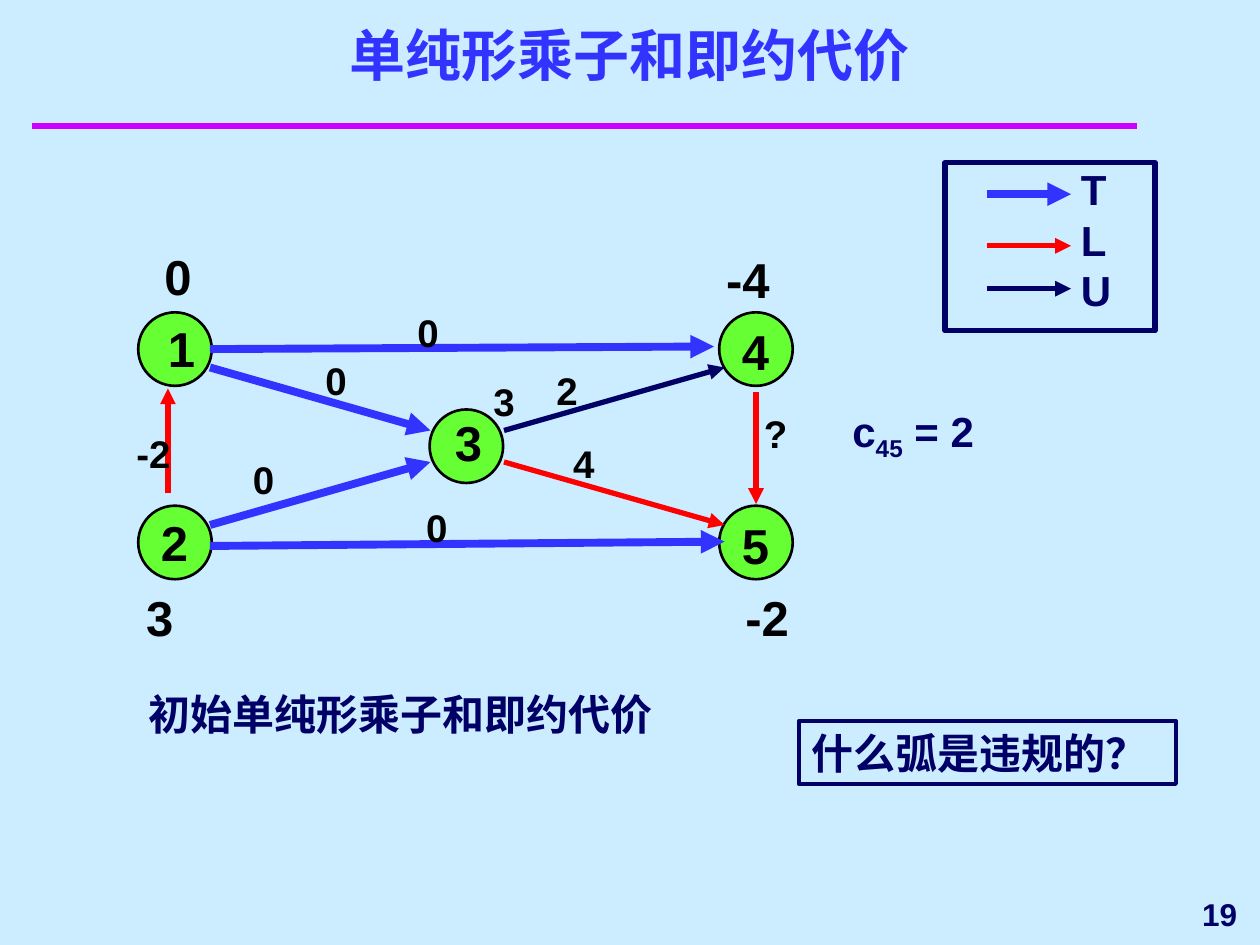
from lxml.etree import SubElement
from pptx import Presentation
from pptx.dml.color import RGBColor
from pptx.enum.shapes import MSO_CONNECTOR, MSO_SHAPE
from pptx.enum.text import MSO_ANCHOR, MSO_AUTO_SIZE, PP_ALIGN
from pptx.oxml.ns import qn
from pptx.util import Pt

SKY = RGBColor(0xCC, 0xEC, 0xFF)
MAGENTA = RGBColor(0xCC, 0x00, 0xFF)
BLUE = RGBColor(0x33, 0x33, 0xFF)
NAVY = RGBColor(0x00, 0x00, 0x66)
RED = RGBColor(0xFF, 0x00, 0x00)
GREEN = RGBColor(0x66, 0xFF, 0x33)
BLACK = RGBColor(0x00, 0x00, 0x00)

TREE = (BLUE, 4.5)
LOWER = (RED, 3)
UPPER = (NAVY, 3)

NODE_SIZE = 42
NODE_POSITIONS = [(79, 178.5), (79, 289), (411, 289), (245.5, 234), (411, 178.5)]
NODE_LABELS = [("1", 96, 182), ("2", 92, 293), ("4", 424, 183.5),
               ("5", 424, 294.5), ("3", 260, 236)]
MULTIPLIERS = [("0", 94, 141), ("-4", 415, 142.5), ("3", 83.5, 335.5), ("-2", 426, 336)]
REDUCED_COSTS = [("0", 238.5, 176.5), ("?", 436.5, 234.5), ("4", 327.5, 251.5),
                 ("0", 243.5, 288), ("0", 144.5, 260.5), ("-2", 78, 246),
                 ("0", 186, 204), ("2", 318, 210)]
ARCS = [
    (TREE, 120, 199.5, 408, 198),
    (LOWER, 96, 282, 96, 222),
    (TREE, 120, 312, 414, 309.5),
    (LOWER, 432, 224, 432, 288),
    (LOWER, 288, 264, 414, 300),
    (TREE, 120, 210, 246, 246),
    (TREE, 120, 300, 246, 264),
    (UPPER, 288, 246, 414, 210),
]
LEGEND = [(UPPER, 165), (LOWER, 140.5), (TREE, 111)]
ADVANCE = {"-": 0.333, "?": 0.611}


def set_all(obj, formats):
    for name, value in formats.items():
        setattr(obj, name, value)


def style_run(r, size, color):
    set_all(r.font, {"name": "Arial", "size": Pt(size), "bold": True})
    r.font.color.rgb = color


def fill_text(tf, lines, size, color, align=PP_ALIGN.LEFT):
    for i, line in enumerate(lines):
        p = tf.paragraphs[0] if i == 0 else tf.add_paragraph()
        p.alignment = align
        r = p.add_run()
        r.text = line
        style_run(r, size, color)


def add_text(s, box, lines, size, color, align=PP_ALIGN.LEFT, **formats):
    tf = s.shapes.add_textbox(*map(Pt, box)).text_frame
    set_all(tf, {"word_wrap": True, **formats})
    fill_text(tf, lines, size, color, align)
    return tf


def add_label(s, text, x, y, size):
    width = size * sum(ADVANCE.get(c, 0.556) for c in text)
    margins = dict.fromkeys(
        ("margin_left", "margin_top", "margin_right", "margin_bottom"), 0)
    add_text(s, (x, y, width, size * 1.2), [text], size, BLACK,
             **{**margins, "word_wrap": False})


def add_outline(s, kind, box, color, weight, fill=None):
    sp = s.shapes.add_shape(kind, *map(Pt, box))
    sp.shadow.inherit = False
    if fill is None:
        sp.fill.background()
    else:
        sp.fill.solid()
        sp.fill.fore_color.rgb = fill
    sp.line.color.rgb = color
    sp.line.width = Pt(weight)
    return sp


def add_line(s, style, x1, y1, x2, y2, arrow=True):
    color, weight = style
    cxn = s.shapes.add_connector(MSO_CONNECTOR.STRAIGHT, *map(Pt, (x1, y1, x2, y2)))
    cxn.line.color.rgb = color
    cxn.line.width = Pt(weight)
    if arrow:
        SubElement(cxn.line._get_or_add_ln(), qn("a:tailEnd"), type="triangle")
    SubElement(cxn._element.spPr, qn("a:effectLst"))


def add_title(s, text):
    sp = s.shapes.title
    set_all(sp, {"left": Pt(0), "top": Pt(24), "width": Pt(720), "height": Pt(30)})
    set_all(sp.text_frame, {"vertical_anchor": MSO_ANCHOR.BOTTOM,
                            "auto_size": MSO_AUTO_SIZE.NONE})
    fill_text(sp.text_frame, [text], 32, BLUE, PP_ALIGN.CENTER)


def add_network(s):
    for x, y in NODE_POSITIONS:
        add_outline(s, MSO_SHAPE.OVAL, (x, y, NODE_SIZE, NODE_SIZE), BLACK, 1.5, GREEN)
    for style, *ends in ARCS:
        add_line(s, style, *ends)
    for label in NODE_LABELS + MULTIPLIERS:
        add_label(s, *label, 28)
    for label in REDUCED_COSTS + [("3", 282, 216)]:
        add_label(s, *label, 22)


def add_legend(s):
    for style, y in LEGEND:
        add_line(s, style, 564, y, 612, y)
    add_text(s, (610.5, 90, 32, 94), ["T", "L", "U"], 24, NAVY, word_wrap=False)
    add_outline(s, MSO_SHAPE.RECTANGLE, (540, 93, 120, 96), NAVY, 3)


def add_cost(s):
    tf = add_text(s, (480, 228, 126, 40), ["c"], 24, NAVY)
    p = tf.paragraphs[0]
    for text, baseline in (("45", "-25000"), (" = 2", "0")):
        r = p.add_run()
        r.text = text
        style_run(r, 24, NAVY)
        r._r.get_or_add_rPr().set("baseline", baseline)


def add_question(s, text):
    sp = add_outline(s, MSO_SHAPE.RECTANGLE, (456.5, 412, 215.5, 36), NAVY, 2.25)
    set_all(sp.text_frame, {"word_wrap": True, "vertical_anchor": MSO_ANCHOR.TOP})
    fill_text(sp.text_frame, [text], 24, NAVY)


def main():
    prs = Presentation()
    set_all(prs, {"slide_width": Pt(720), "slide_height": Pt(540)})
    s = prs.slides.add_slide(prs.slide_layouts[5])
    s.background.fill.solid()
    s.background.fill.fore_color.rgb = SKY
    add_line(s, (MAGENTA, 4), 18, 72, 650, 72, arrow=False)
    add_title(s, "单纯形乘子和即约代价")
    add_network(s)
    add_legend(s)
    add_cost(s)
    add_text(s, (78, 390, 354, 36), ["初始单纯形乘子和即约代价"], 24, NAVY)
    add_question(s, "什么弧是违规的？")
    add_text(s, (576, 504, 138, 36), ["19"], 18, NAVY, PP_ALIGN.RIGHT,
             vertical_anchor=MSO_ANCHOR.MIDDLE)
    prs.save("out.pptx")


if __name__ == "__main__":
    main()
